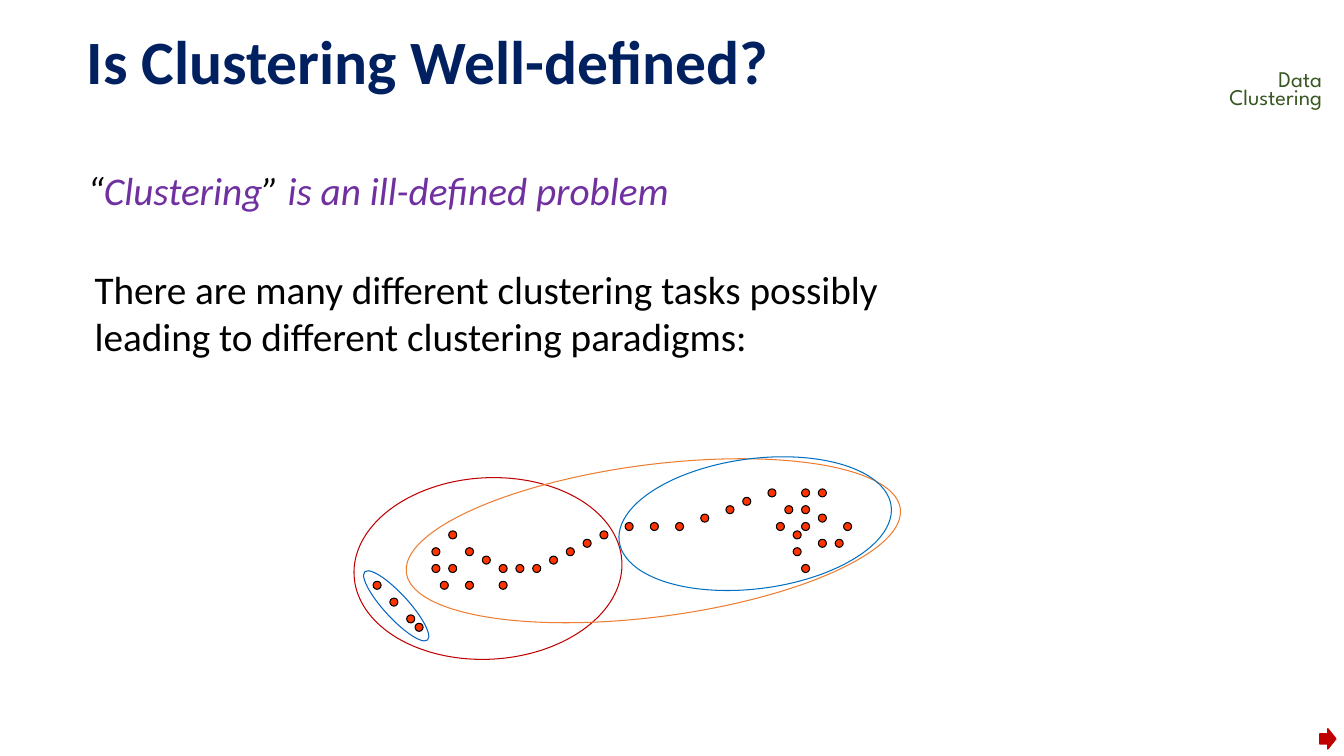
from pptx import Presentation
from pptx.dml.color import RGBColor
from pptx.enum.shapes import MSO_SHAPE
from pptx.enum.text import MSO_ANCHOR, PP_ALIGN
from pptx.util import Inches, Pt

COLORS = {
    "navy": "002060", "green": "385723", "purple": "7030A0", "black": "000000",
    "dot": "FF3300", "link": "0563C1", "red": "C00000",
    "orange": "ED7D31", "blue": "0070C0",
}
TITLE = "Is Clustering Well-defined?"
TOPIC = ["Data", "Clustering"]
CLAIM = [("“", "black"), ("Clustering", "purple"), ("”", "black"),
         (" is an ill-defined problem", "purple")]
BODY = ("There are many different clustering tasks possibly "
        "leading to different clustering paradigms:")

# Data points: grid row -> grid columns
POINTS = {
    0: [47, 51, 53], 1: [44], 2: [42, 49, 51], 3: [39, 53],
    4: [30, 33, 36, 48, 51, 56], 5: [9, 27, 50], 6: [25, 53, 55],
    7: [7, 11, 23, 50], 8: [13, 21], 9: [7, 9, 15, 17, 19, 51],
    11: [0, 8, 11, 15], 13: [2], 15: [4], 16: [5],
}
GRID_LEFT, GRID_TOP, STEP, DOT = 3.7, 4.85, 1 / 12, 0.08

# Cluster outlines: left, top, width, height, rotation, colour
RINGS = [
    (3.81, 5.55, 0.24, 0.92, 317.4, "link"),
    (3.51, 4.74, 2.66, 1.8, 356.9, "red"),
    (4.01, 4.61, 4.94, 1.51, 352.6, "orange"),
    (6.13, 4.55, 2.72, 1.29, 352.6, "blue"),
]


def rgb(name):
    return RGBColor.from_string(COLORS[name])


def style(para, size, color, face="Calibri", bold=False):
    font = para.font
    font.size, font.name, font.bold = Pt(size), face, bold
    font.color.rgb = rgb(color)


def add_text(slide, box, lines):
    frame = slide.shapes.add_textbox(*map(Inches, box)).text_frame
    frame.word_wrap = True
    frame.text = "\n".join(lines)
    return frame.paragraphs


def add_mark(slide, kind, box, line, width=0.75, fill=None):
    mark = slide.shapes.add_shape(kind, *map(Inches, box))
    mark.shadow.inherit = False
    if fill:
        mark.fill.solid()
        mark.fill.fore_color.rgb = rgb(fill)
    else:
        mark.fill.background()
    mark.line.color.rgb = rgb(line)
    mark.line.width = Pt(width)
    return mark


def add_title(slide):
    title = slide.shapes.title
    title.left, title.top, title.width, title.height = map(
        Inches, (0.76, 0.24, 11.5, 0.8))
    frame = title.text_frame
    frame.text = TITLE
    frame.vertical_anchor = MSO_ANCHOR.MIDDLE
    para = frame.paragraphs[0]
    para.alignment = PP_ALIGN.LEFT
    para.line_spacing = 0.9
    style(para, 44, "navy", bold=True)


def add_words(slide):
    for para in add_text(slide, (11.86, 0.68, 1.35, 0.47), TOPIC):
        para.alignment = PP_ALIGN.RIGHT
        para.line_spacing = Pt(13)
        style(para, 16, "green", "League Spartan")

    claim = add_text(slide, (0.77, 1.65, 8.91, 0.83), [""])[0]
    claim.line_spacing = 0.9
    style(claim, 28, "purple")
    claim.font.italic = True
    for text, color in CLAIM:
        run = claim.add_run()
        run.text = text
        run.font.color.rgb = rgb(color)

    style(add_text(slide, (0.84, 2.58, 8.67, 1.5), [BODY])[0], 28, "black")


def add_plot(slide):
    for row, cols in POINTS.items():
        for col in cols:
            box = (GRID_LEFT + col * STEP, GRID_TOP + row * STEP, DOT, DOT)
            add_mark(slide, MSO_SHAPE.OVAL, box, "black", fill="dot")
    for *box, angle, color in RINGS:
        add_mark(slide, MSO_SHAPE.OVAL, box, color).rotation = angle


def main():
    deck = Presentation()
    deck.slide_width, deck.slide_height = Inches(13.33), Inches(7.5)
    slide = deck.slides.add_slide(deck.slide_layouts[5])
    add_title(slide)
    add_words(slide)
    add_plot(slide)
    add_mark(slide, MSO_SHAPE.RIGHT_ARROW, (13.09, 7.23, 0.16, 0.2),
             "red", 1, "red")
    deck.save("out.pptx")


if __name__ == "__main__":
    main()
